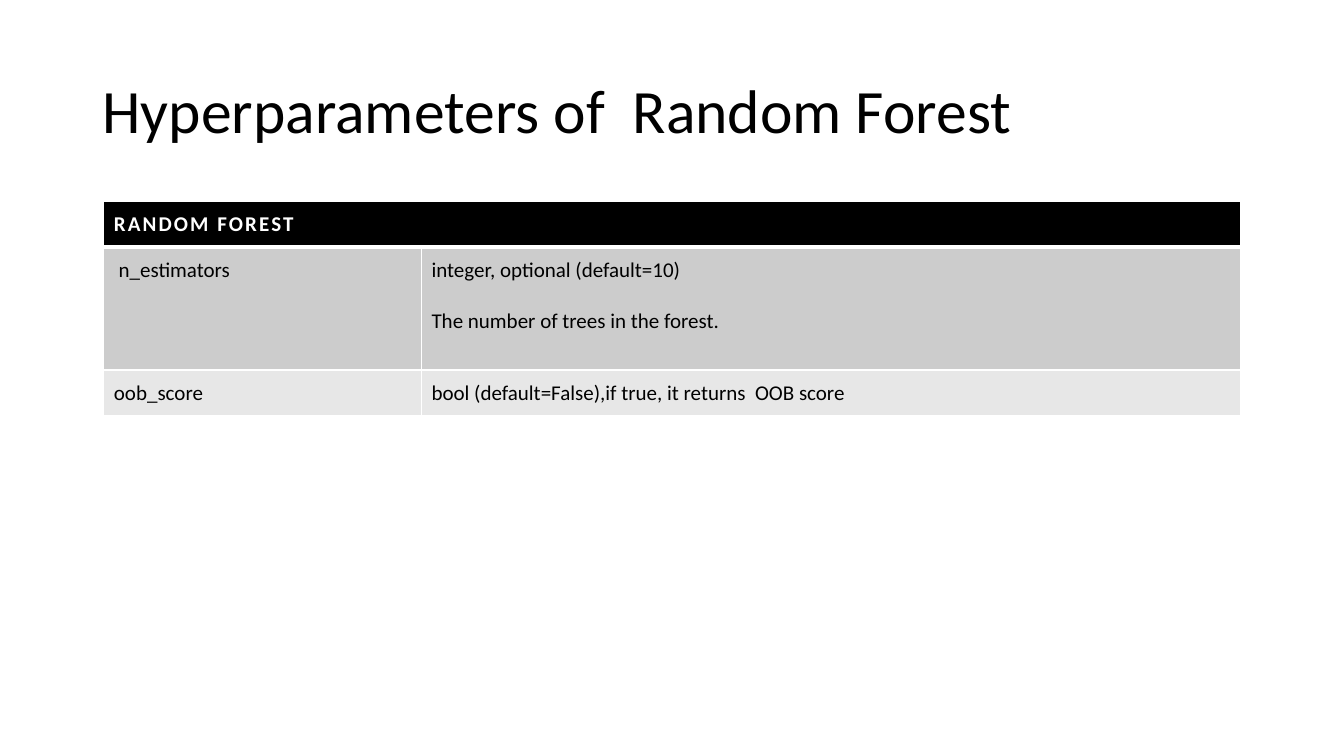
from lxml.etree import SubElement
from pptx import Presentation
from pptx.dml.color import RGBColor
from pptx.enum.text import MSO_ANCHOR
from pptx.oxml.ns import qn
from pptx.util import Inches, Pt

SLIDE_WIDTH, SLIDE_HEIGHT = Inches(13.33), Inches(7.5)
COLUMN_WIDTHS = [3.15, 8.12]
ROW_HEIGHTS = [0.45, 1.22, 0.45]
ROW_FILLS = ["000000", "CCCCCC", "E7E7E7"]
HEADER = "RANDOM FOREST"
PARAMETERS = [
    [[" n_estimators"],
     ["integer, optional (default=10)", "The number of trees in the forest."]],
    [["oob_score"], ["bool (default=False),if true, it returns  OOB score"]],
]
BODY_SIZE = 15


def color(value):
    return RGBColor.from_string(value)


def set_all(target, values):
    for name, value in values.items():
        setattr(target, name, value)


def write(text_frame, lines, size, text_color, bold=False, gap=0, tracking=0):
    """Write one paragraph per line; gap is the space between them in points."""
    for index, line in enumerate(lines):
        paragraph = text_frame.add_paragraph() if index else text_frame.paragraphs[0]
        paragraph.space_before = Pt(gap if index else 0)
        run = paragraph.add_run()
        run.text = line
        set_all(run.font, {"name": "Calibri", "size": Pt(size), "bold": bold})
        run.font.color.rgb = color(text_color)
        if tracking:
            run.font._element.set("spc", str(int(tracking * 100)))


def add_title(slide, text):
    shape = slide.shapes.add_textbox(
        int(SLIDE_WIDTH * 0.069), int(SLIDE_HEIGHT * 0.053),
        int(SLIDE_WIDTH * 0.863), int(SLIDE_HEIGHT * 0.193))
    set_all(shape.text_frame,
            {"word_wrap": True, "vertical_anchor": MSO_ANCHOR.MIDDLE})
    write(shape.text_frame, [text], 44, "000000")
    shape.text_frame.paragraphs[0].line_spacing = 0.9


def add_borders(cell, widths):
    properties = cell._tc.get_or_add_tcPr()
    for side, width in widths.items():
        line = SubElement(properties, qn(f"a:ln{side}"), w=str(Pt(width)))
        fill = SubElement(line, qn("a:solidFill"))
        SubElement(fill, qn("a:srgbClr"), val="FFFFFF")


def format_cell(cell, row):
    add_borders(cell, {"L": 1, "R": 1, "T": 3 if row == 1 else 1,
                       "B": 3 if row == 0 else 1})
    cell.fill.solid()
    cell.fill.fore_color.rgb = color(ROW_FILLS[row])
    margins = ("margin_left", "margin_right", "margin_top", "margin_bottom")
    set_all(cell, dict.fromkeys(margins, Inches(0.1)))
    cell.vertical_anchor = MSO_ANCHOR.TOP


def add_parameter_table(slide):
    table = slide.shapes.add_table(
        len(ROW_HEIGHTS), len(COLUMN_WIDTHS), Inches(1.03), Inches(2),
        Inches(sum(COLUMN_WIDTHS)), Inches(sum(ROW_HEIGHTS))).table
    for column, width in zip(table.columns, COLUMN_WIDTHS):
        column.width = Inches(width)
    for index, height in enumerate(ROW_HEIGHTS):
        table.rows[index].height = Inches(height)
        for cell in table.rows[index].cells:
            format_cell(cell, index)
    header = table.cell(0, 0)
    header.merge(table.cell(0, 1))
    write(header.text_frame, [HEADER], BODY_SIZE, "FFFFFF", bold=True, tracking=1.5)
    for row, entries in enumerate(PARAMETERS, start=1):
        for column, lines in enumerate(entries):
            write(table.cell(row, column).text_frame, lines, BODY_SIZE, "000000",
                  gap=18.5)


def main():
    presentation = Presentation()
    set_all(presentation, {"slide_width": SLIDE_WIDTH, "slide_height": SLIDE_HEIGHT})
    slide = presentation.slides.add_slide(presentation.slide_layouts[6])
    add_title(slide, "Hyperparameters of  Random Forest")
    add_parameter_table(slide)
    presentation.save("out.pptx")


if __name__ == "__main__":
    main()
